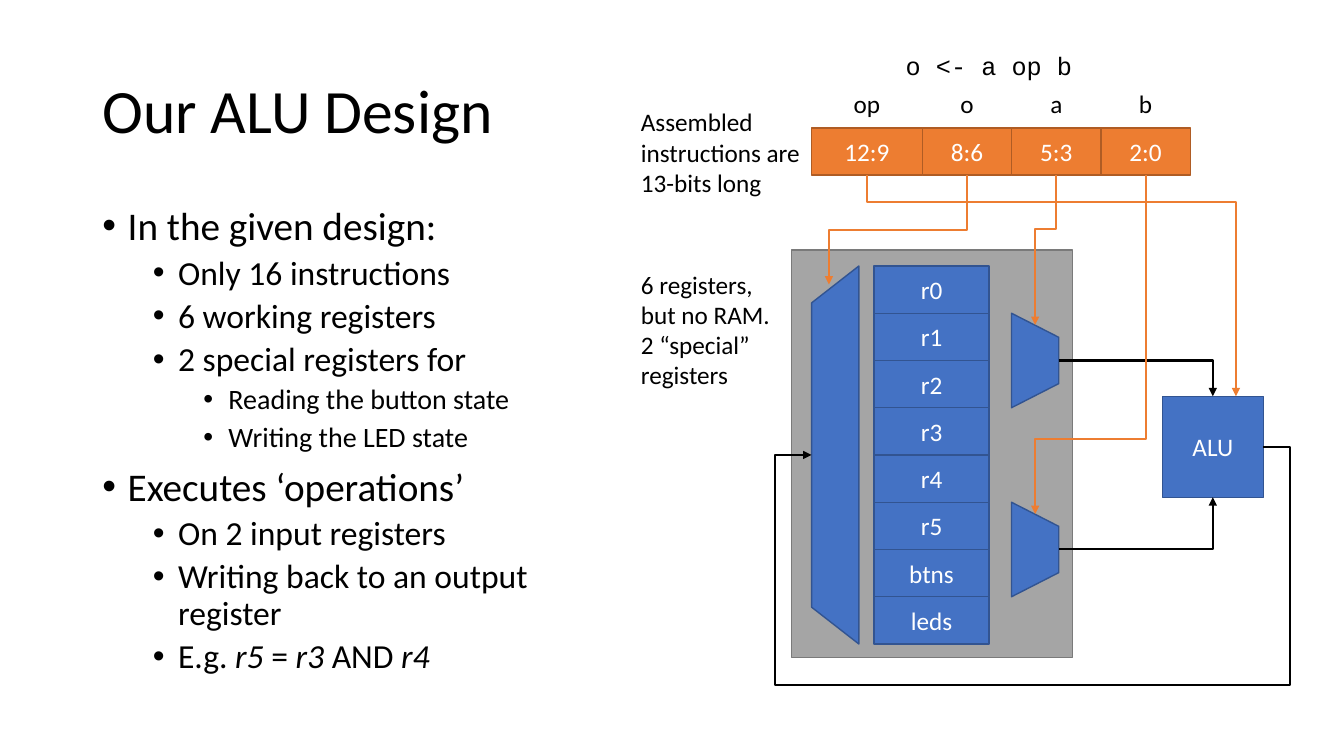
from lxml.etree import SubElement
from pptx import Presentation
from pptx.dml.color import RGBColor
from pptx.enum.shapes import MSO_CONNECTOR, MSO_SHAPE
from pptx.enum.text import MSO_ANCHOR, MSO_AUTO_SIZE, PP_ALIGN
from pptx.oxml.ns import qn
from pptx.util import Pt

# Content
TITLE = "Our ALU Design"
BULLETS = [  # level, runs (every second run is italic)
    (0, ["In the given design:"]),
    (1, ["Only 16 instructions"]),
    (1, ["6 working registers"]),
    (1, ["2 special registers for"]),
    (2, ["Reading the button state"]),
    (2, ["Writing the LED state"]),
    (0, ["Executes ‘operations’"]),
    (1, ["On 2 input registers"]),
    (1, ["Writing back to an output register"]),
    (1, ["E.g. ", "r5", " = ", "r3", " AND ", "r4"]),
]
LEVELS = [(28, 10, 18), (24, 5, 54), (20, 5, 90)]  # size, space before, indent
REGISTERS = ["r0", "r1", "r2", "r3", "r4", "r5", "btns", "leds"]
FIELDS = [  # name, name width, bits, field width
    ("op", 34, "12:9", 79.2),
    ("o", 24.4, "8:6", 63.8),
    ("a", 23, "5:3", 63.8),
    ("b", 24.4, "2:0", 63.8),
]
NOTES = [  # text, left, top, width, height, font, alignment
    ("o <- a op b", 639.4, 32.4, 133.9, 29, "Courier New", PP_ALIGN.CENTER),
    ("Assembled instructions are 13-bits long", 450.7, 72.7, 128.2, 72.7,
     "Calibri", PP_ALIGN.LEFT),
    ("6 registers, but no RAM. 2 “special” registers", 450.7, 188.6, 113.8,
     94.3, "Calibri", PP_ALIGN.LEFT),
]
BLUE, BLUE_EDGE = "4472C4", "325491"
ORANGE, ORANGE_EDGE = "ED7D31", "AF5C24"
GREY, GREY_EDGE = "A5A5A5", "7A7A7A"
BLACK, WHITE = "000000", "FFFFFF"

# Diagram measures
ROW = 33.75
REG_X, REG_Y, REG_W = 624.2, 190, 82.4
FIELD_X, FIELD_Y = 579.6, 91.4
ALU_X, ALU_Y, ALU_SIZE = 830.2, 283, 72.2
WRITE_X, READ_X = 596.6, 739.4
READ_LEN = 2 * ROW
READ_YS = [REG_Y + 2 * ROW, REG_Y + 6 * ROW]
MID_Y = REG_Y + 4 * ROW

prs = Presentation()
prs.slide_width, prs.slide_height = Pt(960), Pt(540)
slide = prs.slides.add_slide(prs.slide_layouts[1])
shapes = slide.shapes


def rgb(color):
    return RGBColor.from_string(color)


def style(p, size, color, font="Calibri"):
    for r in p.runs:
        r.font.size, r.font.name = Pt(size), font
        r.font.color.rgb = rgb(color)


def place(sp, x, y, w, h):
    sp.left, sp.top, sp.width, sp.height = Pt(x), Pt(y), Pt(w), Pt(h)


def block(x, y, w, h, fill, edge, text="", kind=MSO_SHAPE.RECTANGLE):
    sp = shapes.add_shape(kind, Pt(x), Pt(y), Pt(w), Pt(h))
    sp.shadow.inherit = False
    sp.fill.solid()
    sp.fill.fore_color.rgb = rgb(fill)
    sp.line.color.rgb = rgb(edge)
    sp.line.width = Pt(1)
    if text:
        tf = sp.text_frame
        tf.text = text
        tf.vertical_anchor = MSO_ANCHOR.MIDDLE
        tf.paragraphs[0].alignment = PP_ALIGN.CENTER
        style(tf.paragraphs[0], 18, WHITE)
    return sp


def mux(cx, cy, length, rotation, slant):
    sp = block(cx - length / 2, cy - ROW / 2, length, ROW, BLUE, BLUE_EDGE,
               kind=MSO_SHAPE.TRAPEZOID)
    sp.rotation = rotation
    sp.adjustments[0] = slant


def label(text, x, y, w, h, font="Calibri", align=PP_ALIGN.CENTER):
    tf = shapes.add_textbox(Pt(x), Pt(y), Pt(w), Pt(h)).text_frame
    tf.word_wrap = align == PP_ALIGN.LEFT
    tf.text = text
    tf.paragraphs[0].alignment = align
    style(tf.paragraphs[0], 18, BLACK, font)


def wire(start, end, color, preset, bends=(), downward=False):
    """Elbow arrow; a downward one is a sideways elbow turned a quarter."""
    (x1, y1), (x2, y2) = start, end
    if downward:
        cx, cy = (x1 + x2) / 2, (y1 + y2) / 2
        w, h = abs(y2 - y1), abs(x2 - x1)
        box = cx - w / 2, cy - h / 2, cx + w / 2, cy + h / 2
    else:
        box = x1, y1, x2, y2
    c = shapes.add_connector(MSO_CONNECTOR.ELBOW, *map(Pt, box))
    c.line.color.rgb = rgb(color)
    c.line.width = Pt(1.5)
    props = c._element.spPr
    if downward:
        xfrm = props.find(qn("a:xfrm"))
        xfrm.set("rot", str((90 if x2 < x1 else 270) * 60000))
        if x2 > x1:
            xfrm.set("flipH", "1")
    geom = props.find(qn("a:prstGeom"))
    geom.set("prst", preset)
    guides = geom.find(qn("a:avLst"))
    for i, bend in enumerate(bends, 1):
        SubElement(guides, qn("a:gd"), name=f"adj{i}",
                   fmla=f"val {round(bend * 100000)}")
    SubElement(props.find(qn("a:ln")), qn("a:tailEnd"), type="triangle")
    SubElement(props, qn("a:effectLst"))


# Title
title = shapes.title
place(title, 66, 28.8, 371.5, 104.4)
title.text_frame.text = TITLE
title.text_frame.vertical_anchor = MSO_ANCHOR.MIDDLE
p = title.text_frame.paragraphs[0]
p.alignment, p.line_spacing = PP_ALIGN.LEFT, 0.9
style(p, 44, BLACK)

# Bullet list
body = slide.placeholders[1]
place(body, 66, 144, 371.5, 342.7)
tf = body.text_frame
tf.auto_size = MSO_AUTO_SIZE.NONE
for i, (level, runs) in enumerate(BULLETS):
    p = tf.add_paragraph() if i else tf.paragraphs[0]
    size, before, indent = LEVELS[level]
    p.level, p.line_spacing, p.space_before = level, 0.9, Pt(before)
    for j, text in enumerate(runs):
        r = p.add_run()
        r.text = text
        r.font.italic = j % 2 == 1
    style(p, size, BLACK)
    pPr = p._p.get_or_add_pPr()
    pPr.set("marL", str(Pt(indent)))
    pPr.set("indent", str(Pt(-18)))
    SubElement(pPr, qn("a:buFont"), typeface="Arial")
    SubElement(pPr, qn("a:buChar"), char="•")

# Register file, multiplexers and ALU
block(565.2, 178.6, 200.9, 290.9, GREY, GREY_EDGE)
for i, name in enumerate(REGISTERS):
    block(REG_X, REG_Y + i * ROW, REG_W, ROW, BLUE, BLUE_EDGE, name)
for y in READ_YS:
    mux(READ_X, y, READ_LEN, 90, 0.51)
mux(WRITE_X, MID_Y, 8 * ROW, 270, 0.78)
block(ALU_X, ALU_Y, ALU_SIZE, ALU_SIZE, BLUE, BLUE_EDGE, "ALU")

# Instruction fields
field_mid = {}
x = FIELD_X
for name, name_w, bits, w in FIELDS:
    block(x, FIELD_Y, w, ROW, ORANGE, ORANGE_EDGE, bits)
    field_mid[name] = x + w / 2
    label(name, field_mid[name] - name_w / 2, 59.3, name_w, 29)
    x += w

# Data wires
alu_mid = ALU_X + ALU_SIZE / 2
for y, alu_edge in zip(READ_YS, (ALU_Y, ALU_Y + ALU_SIZE)):
    wire((READ_X + ROW / 2, y), (alu_mid, alu_edge), BLACK, "bentConnector2")
wire((ALU_X + ALU_SIZE, ALU_Y + ALU_SIZE / 2), (WRITE_X - ROW / 2, MID_Y),
     BLACK, "bentConnector5", (-0.06, 28.9, 1.08))

# Control wires: field, end, position of the bend
for name, end, bend in [
    ("o", (WRITE_X - 4.5, 203.2), 0.5),
    ("a", (READ_X, 232.1), 0.36),
    ("b", (READ_X, 367.1), 0.78),
    ("op", (882.8, ALU_Y), 0.12),
]:
    wire((field_mid[name], FIELD_Y + ROW), end, ORANGE, "bentConnector3",
         (bend,), downward=True)

# Notes
for note in NOTES:
    label(*note)

prs.save("out.pptx")
